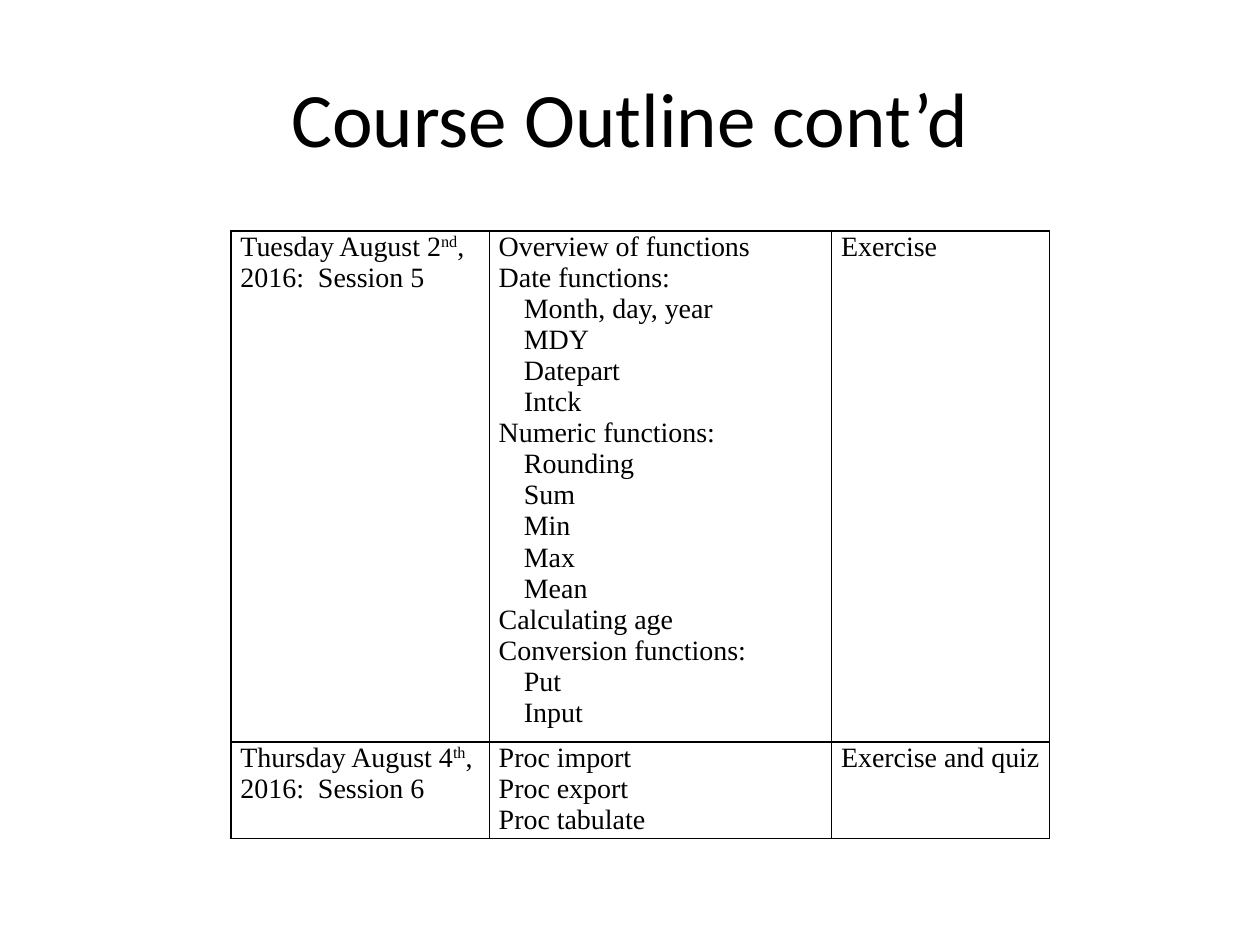
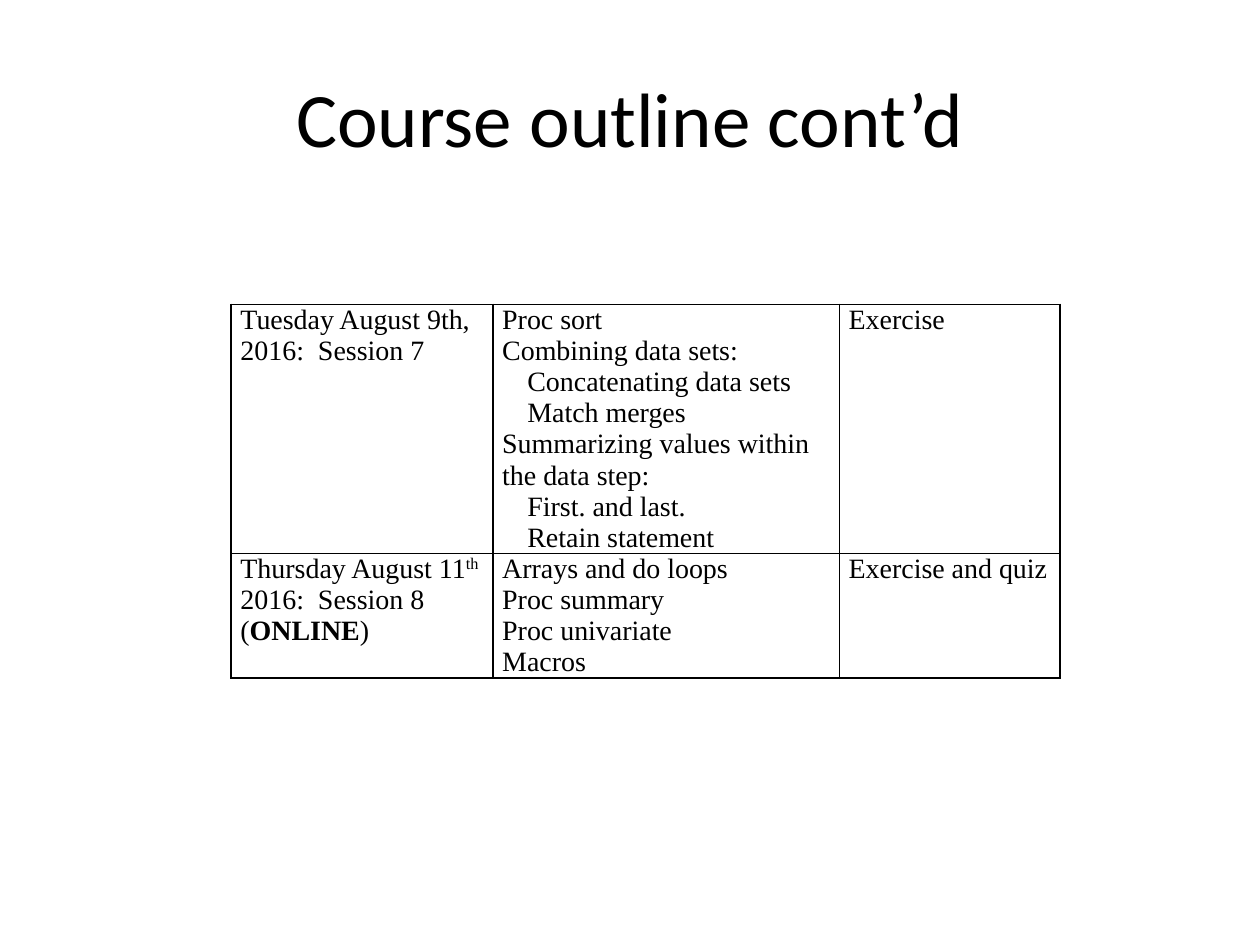
from dataclasses import dataclass

from lxml.etree import SubElement
from pptx import Presentation
from pptx.dml.color import RGBColor
from pptx.enum.text import MSO_ANCHOR as Anchor, PP_ALIGN as Align
from pptx.oxml.ns import qn
from pptx.util import Pt

COLORS = {"text": "000000", "border": "000000", "background": "FFFFFF"}
TITLE_FONT = {"name": "Calibri", "size": Pt(44)}
CELL_FONT = {"name": "Times New Roman", "size": Pt(16)}
CELL_MARGINS = {"margin_left": Pt(5.4), "margin_right": Pt(5.4),
                "margin_top": Pt(0), "margin_bottom": Pt(0)}
TITLE_BOX = {"left": Pt(36), "top": Pt(21.6), "width": Pt(648), "height": Pt(90)}
TABLE_LEFT = 132
INDENT = 14.4
TITLE_ONLY = 5


@dataclass(frozen=True)
class Run:
    """A piece of text with its own emphasis."""
    text: str
    bold: bool = False
    superscript: bool = False


@dataclass(frozen=True)
class Line:
    """One paragraph of a cell."""
    runs: tuple[Run, ...]
    indented: bool = False


@dataclass(frozen=True)
class Session:
    """One table row: date, topics and assignment."""
    date: Line
    topics: list[Line]
    task: Line
    height: float


@dataclass(frozen=True)
class Outline:
    """One slide with a title and a table of sessions."""
    title: str
    top: float
    widths: tuple[float, ...]
    sessions: tuple[Session, ...]


def line(*parts: str | Run) -> Line:
    """Make a paragraph from plain strings and runs."""
    return Line(tuple(p if isinstance(p, Run) else Run(p) for p in parts))


def topics(*items: str | tuple[str, ...]) -> list[Line]:
    """Make topic lines; a tuple holds indented subtopics."""
    lines = []
    for item in items:
        if isinstance(item, tuple):
            lines += [Line((Run(sub),), True) for sub in item]
        else:
            lines.append(line(item))
    return lines


def sup(text: str) -> Run:
    """Make a superscript run."""
    return Run(text, superscript=True)


def apply(target, values: dict) -> None:
    """Set attributes from a dict of format values."""
    for name, value in values.items():
        setattr(target, name, value)


def rgb(name: str) -> RGBColor:
    """Look up a named colour."""
    return RGBColor.from_string(COLORS[name])


def add_borders(cell) -> None:
    """Draw a one-point line on each side of a cell."""
    tc_pr = cell._tc.get_or_add_tcPr()
    for side in "LRTB":
        ln = SubElement(tc_pr, qn(f"a:ln{side}"), w=str(Pt(1)))
        fill = SubElement(ln, qn("a:solidFill"))
        SubElement(fill, qn("a:srgbClr"), val=COLORS["border"])


def fill_cell(cell, lines: list[Line]) -> None:
    """Write paragraphs into a cell and format it."""
    apply(cell, CELL_MARGINS)
    cell.vertical_anchor = Anchor.TOP
    add_borders(cell)
    cell.fill.background()
    tf = cell.text_frame
    for i, item in enumerate(lines):
        p = tf.paragraphs[0] if i == 0 else tf.add_paragraph()
        if item.indented:
            p._p.get_or_add_pPr().set("marL", str(Pt(INDENT)))
        for part in item.runs:
            r = p.add_run()
            r.text = part.text
            apply(r.font, CELL_FONT | {"bold": part.bold})
            r.font.color.rgb = rgb("text")
            if part.superscript:
                r._r.get_or_add_rPr().set("baseline", "30000")


def add_title(s, text: str) -> None:
    """Place and format the slide title."""
    sp = s.shapes.title
    apply(sp, TITLE_BOX)
    tf = sp.text_frame
    tf.text = text
    tf.vertical_anchor = Anchor.MIDDLE
    p = tf.paragraphs[0]
    p.alignment = Align.CENTER
    apply(p.runs[0].font, TITLE_FONT)
    p.runs[0].font.color.rgb = rgb("text")


def add_sessions(s, outline: Outline) -> None:
    """Draw the table of sessions."""
    sessions, widths = outline.sessions, outline.widths
    table = s.shapes.add_table(
        len(sessions), len(widths), Pt(TABLE_LEFT), Pt(outline.top),
        Pt(sum(widths)), Pt(sum(row.height for row in sessions))).table
    apply(table, {"first_row": False, "horz_banding": False})
    for column, width in zip(table.columns, widths):
        column.width = Pt(width)
    for row, session in zip(table.rows, sessions):
        row.height = Pt(session.height)
        contents = ([session.date], session.topics, [session.task])
        for cell, lines in zip(row.cells, contents):
            fill_cell(cell, lines)


def add_outline(prs, outline: Outline) -> None:
    """Add one course outline slide."""
    s = prs.slides.add_slide(prs.slide_layouts[TITLE_ONLY])
    s.background.fill.solid()
    s.background.fill.fore_color.rgb = rgb("background")
    add_title(s, outline.title)
    add_sessions(s, outline)


EXERCISE = line("Exercise")
EXERCISE_QUIZ = line("Exercise and quiz")

OUTLINES = (
    Outline("Course Outline cont’d", 132, (147.6, 195.6, 124.6), (
        Session(
            line("Tuesday August 2", sup("nd"), ", 2016:  Session 5"),
            topics("Overview of functions",
                   "Date functions:", ("Month, day, year", "MDY", "Datepart", "Intck"),
                   "Numeric functions:", ("Rounding", "Sum", "Min", "Max", "Mean"),
                   "Calculating age",
                   "Conversion functions:", ("Put", "Input")),
            EXERCISE, 292),
        Session(
            line("Thursday August 4", sup("th"), ", 2016:  Session 6"),
            topics("Proc import", "Proc export", "Proc tabulate"),
            EXERCISE_QUIZ, 55),
    )),
    Outline("Course outline cont’d", 174, (149.6, 198, 126), (
        Session(
            line("Tuesday August 9th, 2016:  Session 7"),
            topics("Proc sort",
                   "Combining data sets:", ("Concatenating data sets", "Match merges"),
                   "Summarizing values within the data step:",
                   ("First. and last.", "Retain statement")),
            EXERCISE, 142),
        Session(
            line("Thursday August 11", sup("th"), " 2016:  Session 8 (",
                 Run("ONLINE", bold=True), ")"),
            topics("Arrays and do loops", "Proc summary", "Proc univariate", "Macros"),
            EXERCISE_QUIZ, 71),
    )),
)


def main() -> None:
    """Build and save the presentation."""
    prs = Presentation()
    apply(prs, {"slide_width": Pt(720), "slide_height": Pt(540)})
    for outline in OUTLINES:
        add_outline(prs, outline)
    prs.save("out.pptx")


main()
